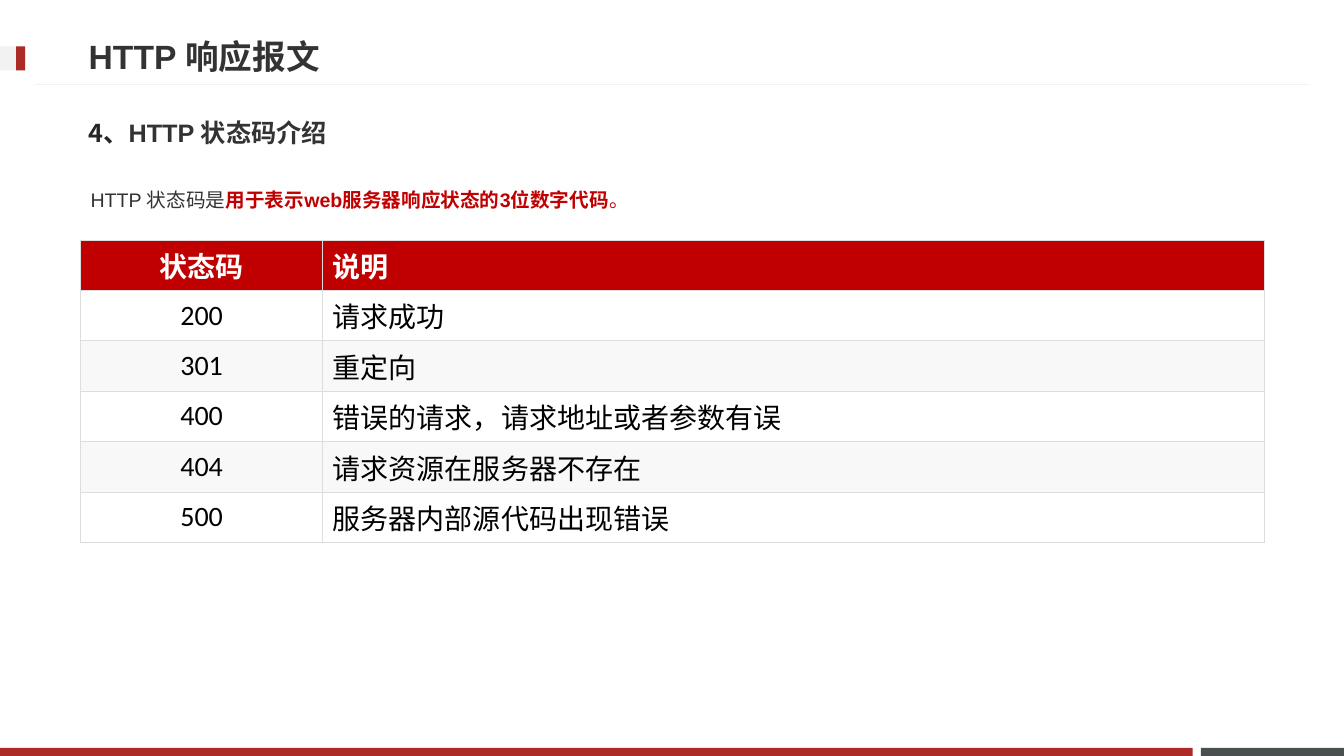
from typing import NamedTuple

import lxml.etree
import pptx
import pptx.dml.color
import pptx.enum.shapes
import pptx.enum.text
import pptx.oxml.ns
import pptx.util

Inches = pptx.util.Inches
Pt = pptx.util.Pt
Align = pptx.enum.text.PP_ALIGN
Anchor = pptx.enum.text.MSO_ANCHOR
qn = pptx.oxml.ns.qn

COLORS = {
    "brick": "AD2B26", "slate": "49504F", "pale": "F2F2F2", "red": "C00000",
    "text": "333333", "number": "262626", "black": "000000", "white": "FFFFFF",
    "stripe": "F8F8F8", "border": "DDDDDD",
}
CJK_FONT = "Noto Sans CJK JP"


class Bar(NamedTuple):
    left: float
    top: float
    width: float
    height: float
    color: str


class Words(NamedTuple):
    text: str
    size: float
    color: str
    bold: bool = False
    font: str = "Arial"


class Textbox(NamedTuple):
    left: float
    top: float
    width: float
    height: float
    anchor: Anchor
    line_spacing: float
    words: list[Words]


BARS = [
    Bar(11.91, 7.42, 1.42, 0.08, "slate"),
    Bar(0, 7.42, 11.83, 0.08, "brick"),
    Bar(0, 0.46, 0.25, 0.24, "pale"),
    Bar(0.16, 0.46, 0.09, 0.24, "brick"),
]
TEXTBOXES = [
    Textbox(0.78, 1.03, 11.76, 0.57, Anchor.MIDDLE, 1.0, [
        Words("4、", 18, "number", True, CJK_FONT),
        Words("HTTP 状态码介绍", 18, "text", True),
    ]),
    Textbox(0.8, 1.7, 12.33, 5.44, Anchor.TOP, 1.5, [
        Words("HTTP 状态码是", 14, "text"),
        Words("用于表示web服务器响应状态的3位数字代码", 14, "red", True),
        Words("。", 14, "red"),
    ]),
]
STATUS_ROWS = [
    ("状态码", "说明"),
    ("200", "请求成功"),
    ("301", "重定向"),
    ("400", "错误的请求，请求地址或者参数有误"),
    ("404", "请求资源在服务器不存在"),
    ("500", "服务器内部源代码出现错误"),
]
COLUMN_WIDTHS = [2.4, 9.34]
ROW_HEIGHT = 0.5


def rgb(name: str) -> pptx.dml.color.RGBColor:
    return pptx.dml.color.RGBColor.from_string(COLORS[name])


def add_words(paragraph, words: Words) -> None:
    run = paragraph.add_run()
    run.text = words.text
    run.font.size = Pt(words.size)
    run.font.bold = words.bold
    run.font.name = words.font
    run.font.color.rgb = rgb(words.color)
    east_asian = lxml.etree.Element(qn("a:ea"), typeface=CJK_FONT)
    run.font._element.find(qn("a:latin")).addnext(east_asian)


def add_bar(slide, bar: Bar) -> None:
    shape = slide.shapes.add_shape(
        pptx.enum.shapes.MSO_SHAPE.RECTANGLE, Inches(bar.left), Inches(bar.top),
        Inches(bar.width), Inches(bar.height))
    shape.shadow.inherit = False
    shape.fill.solid()
    shape.fill.fore_color.rgb = rgb(bar.color)
    shape.line.fill.background()


def add_title_rule(slide) -> None:
    rule = slide.shapes.add_connector(
        pptx.enum.shapes.MSO_CONNECTOR.STRAIGHT,
        Inches(12.98), Inches(0.84), Inches(0.35), Inches(0.84))
    rule.line.color.rgb = rgb("pale")
    rule.line.width = Pt(0.75)
    lxml.etree.SubElement(rule._element.spPr, qn("a:effectLst"))


def set_title(slide) -> None:
    title = slide.shapes.title
    title.left, title.top = Inches(0.78), Inches(0.27)
    title.width, title.height = Inches(9.59), Inches(0.57)
    frame = title.text_frame
    frame.auto_size = pptx.enum.text.MSO_AUTO_SIZE.NONE
    frame.vertical_anchor = Anchor.MIDDLE
    frame.paragraphs[0].alignment = Align.LEFT
    add_words(frame.paragraphs[0], Words("HTTP 响应报文", 24, "text", True))


def add_textbox(slide, box: Textbox) -> None:
    frame = slide.shapes.add_textbox(
        Inches(box.left), Inches(box.top),
        Inches(box.width), Inches(box.height)).text_frame
    frame.word_wrap = True
    frame.vertical_anchor = box.anchor
    paragraph = frame.paragraphs[0]
    paragraph.line_spacing = box.line_spacing
    paragraph.space_before = Pt(3)
    for words in box.words:
        add_words(paragraph, words)


def set_borders(cell) -> None:
    properties = cell._tc.get_or_add_tcPr()
    for position, side in enumerate(("lnL", "lnR", "lnT", "lnB")):
        border = lxml.etree.Element(qn(f"a:{side}"), w=str(Pt(0.6)))
        fill = lxml.etree.SubElement(border, qn("a:solidFill"))
        lxml.etree.SubElement(fill, qn("a:srgbClr"), val=COLORS["border"])
        properties.insert(position, border)


def add_status_table(slide) -> None:
    table = slide.shapes.add_table(
        len(STATUS_ROWS), len(COLUMN_WIDTHS), Inches(0.8), Inches(2.38),
        Inches(sum(COLUMN_WIDTHS)), Inches(ROW_HEIGHT * len(STATUS_ROWS))).table
    for column, width in zip(table.columns, COLUMN_WIDTHS):
        column.width = Inches(width)
    for row, entries in enumerate(STATUS_ROWS):
        header = row == 0
        fill = "red" if header else "white" if row % 2 else "stripe"
        color = "white" if header else "black"
        for column, entry in enumerate(entries):
            cell = table.cell(row, column)
            cell.fill.solid()
            cell.fill.fore_color.rgb = rgb(fill)
            cell.vertical_anchor = Anchor.MIDDLE
            paragraph = cell.text_frame.paragraphs[0]
            paragraph.alignment = Align.LEFT if column else Align.CENTER
            add_words(paragraph, Words(entry, 20, color, header, "Calibri"))
            set_borders(cell)


def main() -> None:
    deck = pptx.Presentation()
    deck.slide_width, deck.slide_height = Inches(13.33), Inches(7.5)
    slide = deck.slides.add_slide(deck.slide_layouts[5])

    # Frame: footer bars, title marker and rule
    for bar in BARS:
        add_bar(slide, bar)
    add_title_rule(slide)

    # Title, section heading and definition
    set_title(slide)
    for box in TEXTBOXES:
        add_textbox(slide, box)

    # Status codes
    add_status_table(slide)
    deck.save("out.pptx")


if __name__ == "__main__":
    main()
